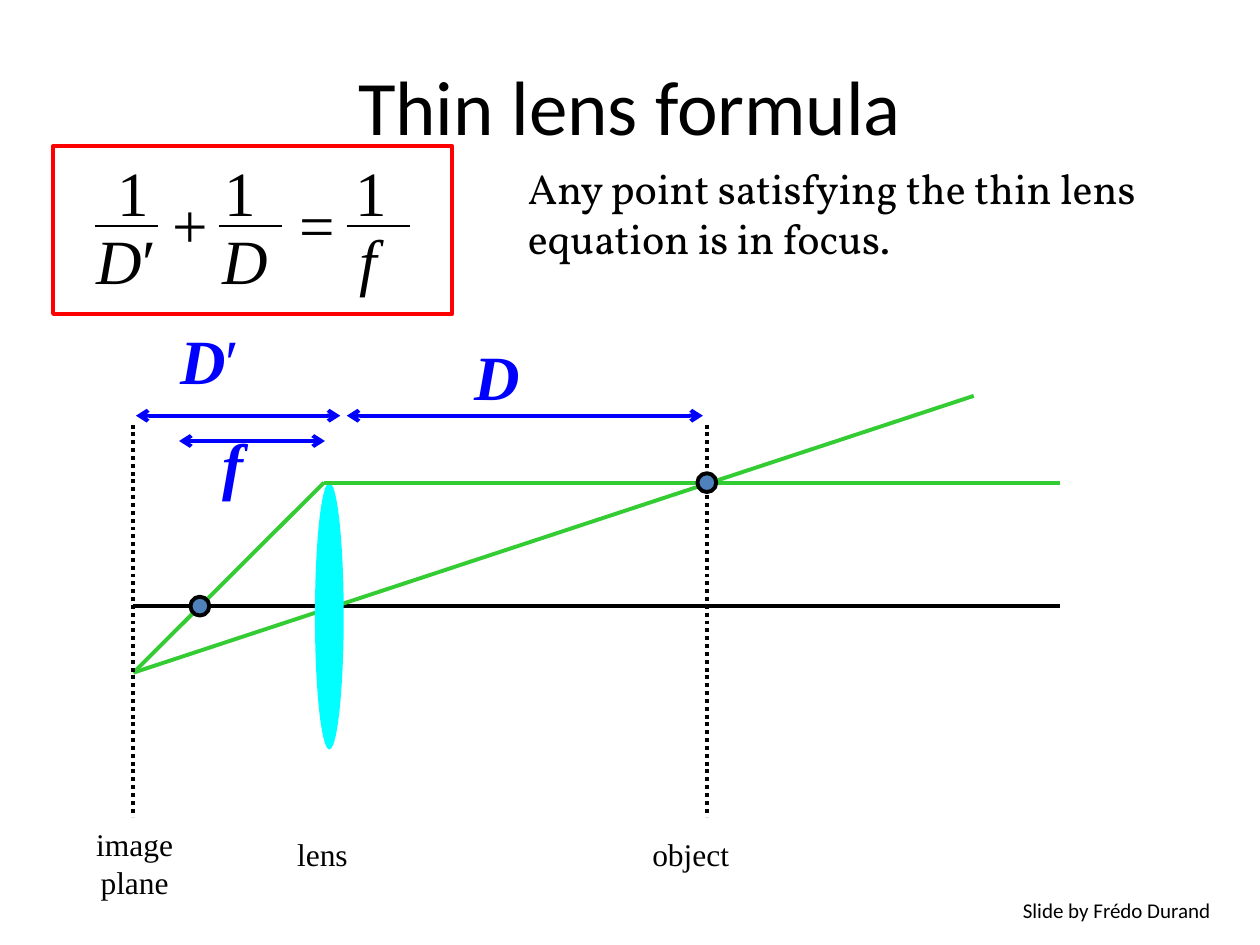
from pptx import Presentation
from pptx import util as u
from pptx.dml.color import RGBColor
from pptx.enum import dml, shapes, text
from pptx.oxml.ns import qn
from lxml import etree

BLACK = RGBColor(0x00, 0x00, 0x00)
BLUE = RGBColor(0x00, 0x00, 0xFF)
RED = RGBColor(0xFF, 0x00, 0x00)
GREEN = RGBColor(0x33, 0xCC, 0x33)
CYAN = RGBColor(0x02, 0xFF, 0xFF)
STEEL = RGBColor(0x4F, 0x81, 0xBD)

SERIF = "Times New Roman"
SANS = "Calibri"
BODY = "Vollkorn"
PRIME = ("′", {"bold": False, "italic": False})


class Page:
    def __init__(self, deck):
        self.slide = deck.slides.add_slide(deck.slide_layouts[5])
        self.items = self.slide.shapes
        self.base = {"name": SERIF, "size": 18, "bold": False,
                     "italic": False, "color": BLACK}

    def style(self, font, form):
        for key, val in {**self.base, **form}.items():
            if key == "color":
                font.color.rgb = val
            else:
                setattr(font, key, u.Pt(val) if key == "size" else val)

    def title(self, words, box, **form):
        head = self.items.title
        head.left, head.top, head.width, head.height = map(u.Cm, box)
        frame = head.text_frame
        frame.text = words
        frame.vertical_anchor = text.MSO_ANCHOR.MIDDLE
        para = frame.paragraphs[0]
        para.alignment = text.PP_ALIGN.CENTER
        self.style(para.runs[0].font, form)

    def label(self, runs, box, wrap=False, align=text.PP_ALIGN.LEFT, **form):
        """Add text; runs is a string or a list of (words, format) pairs."""
        frame = self.items.add_textbox(*map(u.Cm, box)).text_frame
        frame.word_wrap = wrap
        frame.auto_size = text.MSO_AUTO_SIZE.SHAPE_TO_FIT_TEXT
        para = frame.paragraphs[0]
        para.alignment = align
        for words, extra in [(runs, {})] if isinstance(runs, str) else runs:
            run = para.add_run()
            run.text = words
            self.style(run.font, {**form, **extra})

    def line(self, start, end, color=BLACK, width=2.25, dash=None, arrows=False):
        link = self.items.add_connector(
            shapes.MSO_CONNECTOR.STRAIGHT, *map(u.Cm, (*start, *end)))
        link.line.color.rgb = color
        link.line.width = u.Pt(width)
        if dash:
            link.line.dash_style = dash
        props = link._element.spPr
        if arrows:
            for tag in ("a:headEnd", "a:tailEnd"):
                etree.SubElement(props.find(qn("a:ln")), qn(tag), type="arrow")
        etree.SubElement(props, qn("a:effectLst"))

    def shape(self, kind, box, fill=None, edge=None):
        item = self.items.add_shape(kind, *map(u.Cm, box))
        item.shadow.inherit = False
        if fill is None:
            item.fill.background()
        else:
            item.fill.solid()
            item.fill.fore_color.rgb = fill
        if edge is None:
            item.line.fill.background()
        else:
            item.line.color.rgb = edge
            item.line.width = u.Pt(2.25)


def optics(page):
    """Draw the rays, the lens, both planes and the distances."""
    oval = shapes.MSO_SHAPE.OVAL
    image_x, object_x, right = 2.69, 14.25, 21.36
    axis_y, ray_y = 12.22, 9.73
    focus, bend = (image_x, 13.56), (6.53, ray_y)

    page.line((right, axis_y), (image_x, axis_y))
    page.line((19.63, 7.98), focus, GREEN)
    page.shape(oval, (6.35, ray_y, 0.58, 5.38), CYAN)
    page.line(bend, focus, GREEN)
    page.line((right, ray_y), bend, GREEN)
    for x in (image_x, object_x):
        page.line((x, 8.56), (x, 16.46), dash=dml.MSO_LINE.ROUND_DOT)

    for x1, x2, y in ((14.17, 6.99, 8.38), (6.86, 2.74, 8.38), (6.55, 3.61, 8.89)):
        page.line((x1, y), (x2, y), BLUE, arrows=True)
    for runs, box in (("f", (4.24, 8.46, 0.94, 1.78)),
                      ("D", (9.32, 6.68, 1.42, 1.78)),
                      ([("D", {}), PRIME], (3.38, 6.35, 1.73, 1.8))):
        page.label(runs, box, size=36, bold=True, italic=True, color=BLUE)

    dot = 0.38
    for x, y in ((4.03, axis_y), (object_x, ray_y)):
        page.shape(oval, (x - dot / 2, y - dot / 2, dot, dot), STEEL, BLACK)


def formula(page):
    for top_x, bar_x, low_x, low, wide in (
            (2.11, 1.91, 1.7, [("D", {}), PRIME], 1.73),
            (4.27, 4.42, 4.24, "D", 1.42),
            (6.91, 6.99, 6.99, "f", 0.86)):
        page.label("1", (top_x, 2.97, 1.14, 1.78), size=36)
        page.line((bar_x, 4.55), (bar_x + 1.27, 4.55), width=1)
        page.label(low, (low_x, 4.34, wide, 1.78), size=36, italic=True)
    for sign, x in (("+", 3.23), ("=", 5.79)):
        page.label(sign, (x, 3.61, 1.22, 1.78), size=36)
    page.shape(shapes.MSO_SHAPE.RECTANGLE, (1.07, 2.95, 8.05, 3.38), edge=RED)


def main():
    deck = Presentation()
    deck.slide_width, deck.slide_height = u.Cm(25.4), u.Cm(19.05)
    page = Page(deck)
    page.title("Thin lens formula", (1.27, 0.53, 22.86, 3.18), name=SANS, size=44)
    optics(page)
    formula(page)
    page.label("Any point satisfying the thin lens equation is in focus.",
               (10.39, 3.15, 14.1, 2.31), wrap=True, name=BODY, size=24)
    page.label("Slide by Frédo Durand", (20.37, 17.96, 4.88, 0.76),
               name=SANS, size=12)
    page.label("object", (12.9, 16.71, 2.59, 1.27))
    page.label("image plane", (0.99, 16.51, 3.45, 2.31), wrap=True,
               align=text.PP_ALIGN.CENTER)
    page.label("lens", (5.74, 16.71, 1.88, 1.27))
    deck.save("out.pptx")


if __name__ == "__main__":
    main()
